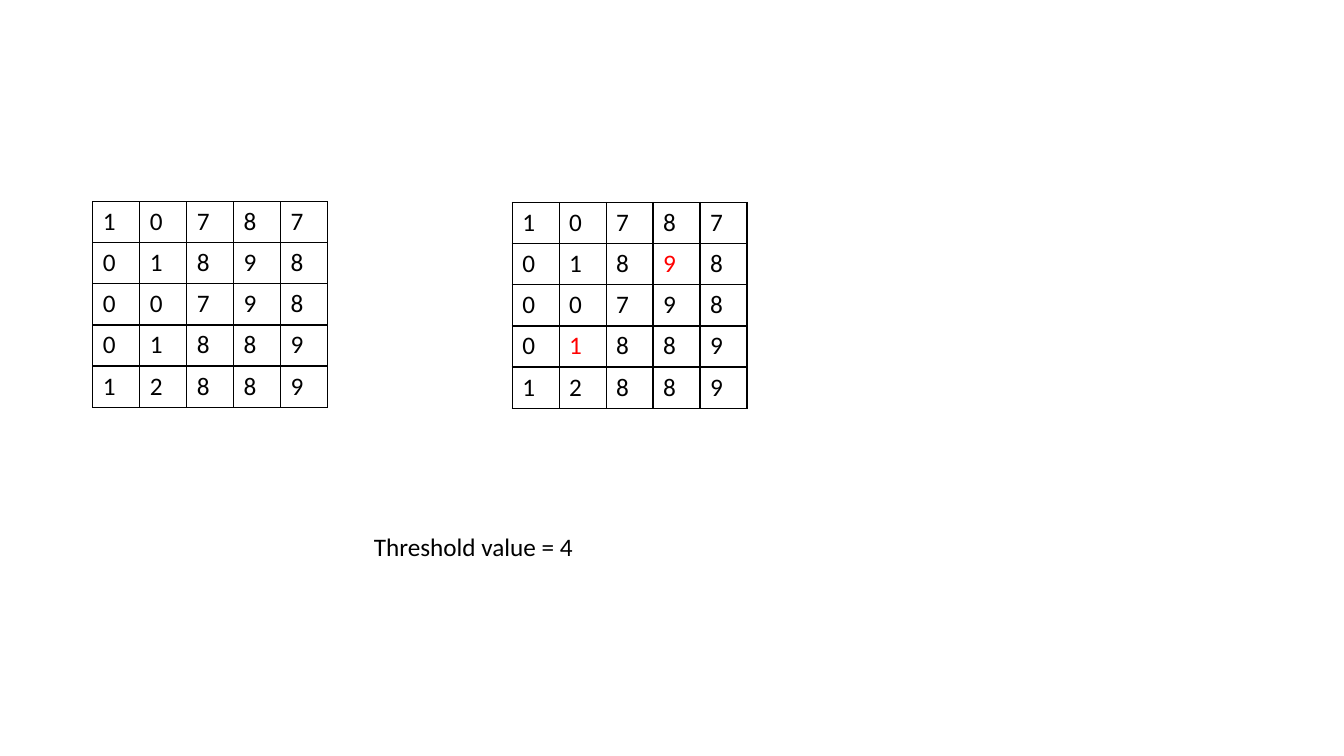
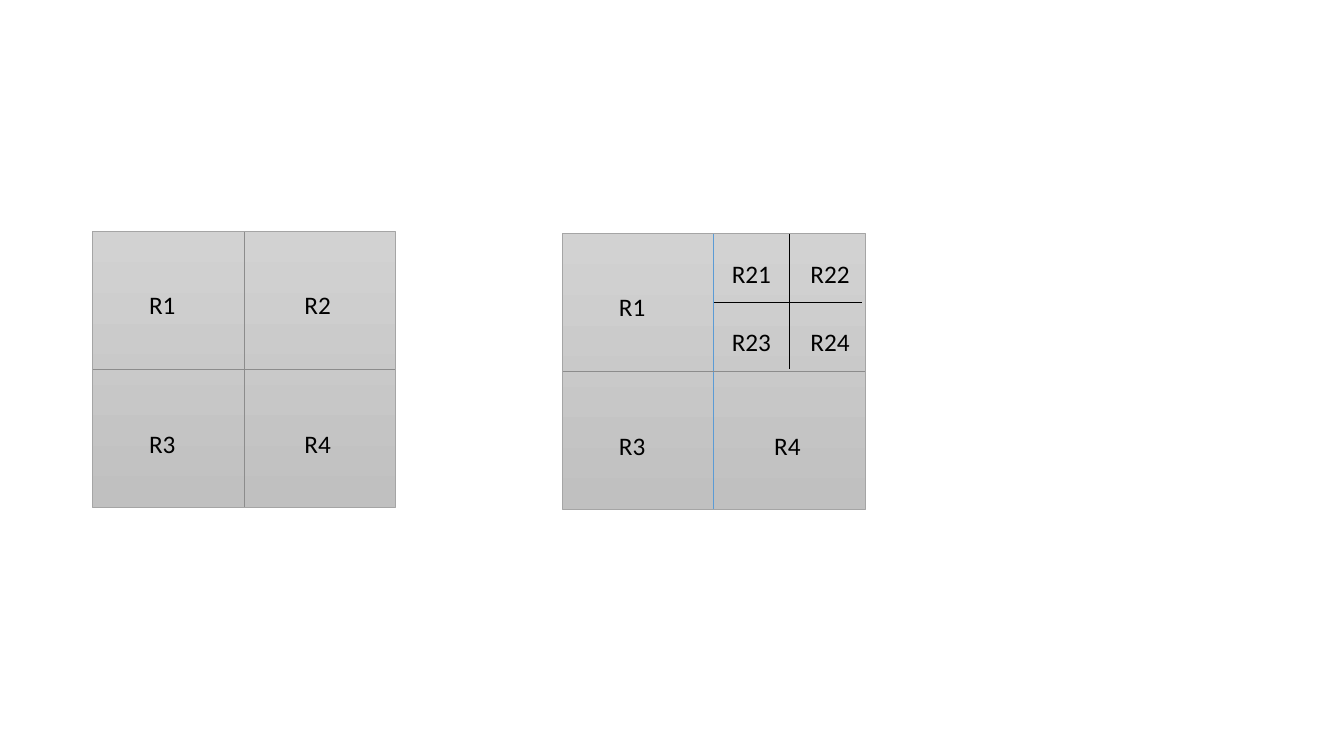
from lxml.etree import SubElement
from pptx import Presentation
from pptx.dml.color import RGBColor
from pptx.enum.shapes import MSO_CONNECTOR, MSO_SHAPE
from pptx.enum.text import MSO_AUTO_SIZE
from pptx.oxml.ns import qn
from pptx.util import Inches, Pt

BLACK = RGBColor(0x00, 0x00, 0x00)
RED = RGBColor(0xFF, 0x00, 0x00)
BLUE = RGBColor(0x5B, 0x9B, 0xD5)
DIVIDER_GRAY = RGBColor(0x8C, 0x8C, 0x8C)
OUTLINE_GRAY = RGBColor(0xA5, 0xA5, 0xA5)
LIGHT_GRAY = RGBColor(0xD2, 0xD2, 0xD2)
MID_GRAY = RGBColor(0xC0, 0xC0, 0xC0)
FONT, FONT_SIZE = "Calibri", Pt(18)

PIXELS = ["10787", "01898", "00798", "01889", "12889"]
SEEDS = {(1, 3), (3, 1)}
TABLES = [(0.92, 2, set()), (5.08, 2.01, SEEDS)]
TABLE_WIDTH, TABLE_HEIGHT = 2.33, 2.04
THRESHOLD = "Threshold value = 4"

SQUARE_WIDTH, SQUARE_HEIGHT = 3, 2.73
SQUARES = [
    (0.92, 2.3, DIVIDER_GRAY, [["R1", "R2"], ["R3", "R4"]]),
    (5.58, 2.32, BLUE, [["R1", None], ["R3", "R4"]]),
]
REGION_LABELS = dict(inset=(0.46, 0.52), step=(1.54, 1.38), width=0.55)
SUBREGIONS = [["R21", "R22"], ["R23", "R24"]]
SUBREGION_LABELS = dict(inset=(0.08, 0.19), step=(0.78, 0.68), width=0.72)


def style_font(paragraph, color=BLACK):
    paragraph.font.name = FONT
    paragraph.font.size = FONT_SIZE
    paragraph.font.color.rgb = color


def add_label(slide, text, left, top, width):
    box = slide.shapes.add_textbox(Inches(left), Inches(top), Inches(width), Inches(0.4))
    frame = box.text_frame
    frame.word_wrap = True
    frame.auto_size = MSO_AUTO_SIZE.SHAPE_TO_FIT_TEXT
    frame.text = text
    style_font(frame.paragraphs[0])


def add_labels(slide, rows, left, top, inset, step, width):
    for row, names in enumerate(rows):
        for column, name in enumerate(names):
            if name:
                add_label(slide, name, left + inset[0] + column * step[0],
                          top + inset[1] + row * step[1], width)


def add_line(slide, start, end, color):
    line = slide.shapes.add_connector(MSO_CONNECTOR.STRAIGHT, *map(Inches, start + end))
    line.line.color.rgb = color
    line.line.width = Pt(0.5)
    SubElement(line._element.spPr, qn("a:effectLst"))
    return line


def add_borders(cell):
    properties = cell._tc.get_or_add_tcPr()
    for side in ("a:lnL", "a:lnR", "a:lnT", "a:lnB"):
        border = SubElement(properties, qn(side), w=str(Pt(1)))
        fill = SubElement(border, qn("a:solidFill"))
        SubElement(fill, qn("a:srgbClr"), val=str(BLACK))


def add_pixel_table(slide, left, top, highlighted):
    size = len(PIXELS)
    table = slide.shapes.add_table(size, size, Inches(left), Inches(top),
                                   Inches(TABLE_WIDTH), Inches(TABLE_HEIGHT)).table
    table.first_row = table.horz_banding = False
    for row, values in enumerate(PIXELS):
        for column, value in enumerate(values):
            cell = table.cell(row, column)
            cell.text = value
            color = RED if (row, column) in highlighted else BLACK
            style_font(cell.text_frame.paragraphs[0], color)
            add_borders(cell)
            cell.fill.background()


def add_square(slide, left, top, vertical_color):
    square = slide.shapes.add_shape(MSO_SHAPE.RECTANGLE, Inches(left), Inches(top),
                                    Inches(SQUARE_WIDTH), Inches(SQUARE_HEIGHT))
    square.shadow.inherit = False
    square.fill.gradient()
    square.fill.gradient_angle = 270
    for stop, color in zip(square.fill.gradient_stops, (LIGHT_GRAY, MID_GRAY)):
        stop.color.rgb = color
    square.line.color.rgb = OUTLINE_GRAY
    square.line.width = Pt(0.5)
    for first, last, color in ((0, 2, vertical_color), (1, 3, DIVIDER_GRAY)):
        divider = add_line(slide, (left, top), (left, top), color)
        divider.begin_connect(square, first)
        divider.end_connect(square, last)


def add_subregions(slide, left, top):
    width, height = SQUARE_WIDTH / 2, SQUARE_HEIGHT / 2
    middle_x, middle_y = left + width / 2, top + height / 2
    add_line(slide, (left, middle_y), (left + width - 0.03, middle_y), BLACK)
    add_line(slide, (middle_x, top), (middle_x, top + height - 0.02), BLACK)
    add_labels(slide, SUBREGIONS, left, top, **SUBREGION_LABELS)


def main():
    presentation = Presentation()
    presentation.slide_width = Inches(13.33)
    presentation.slide_height = Inches(7.5)
    blank = presentation.slide_layouts[6]

    threshold_slide = presentation.slides.add_slide(blank)
    for left, top, highlighted in TABLES:
        add_pixel_table(threshold_slide, left, top, highlighted)
    add_label(threshold_slide, THRESHOLD, 3.61, 5.22, 5.2)

    region_slide = presentation.slides.add_slide(blank)
    for left, top, vertical_color, regions in SQUARES:
        add_square(region_slide, left, top, vertical_color)
        add_labels(region_slide, regions, left, top, **REGION_LABELS)
        if regions[0][1] is None:
            add_subregions(region_slide, left + SQUARE_WIDTH / 2, top)

    presentation.save("out.pptx")


if __name__ == "__main__":
    main()
